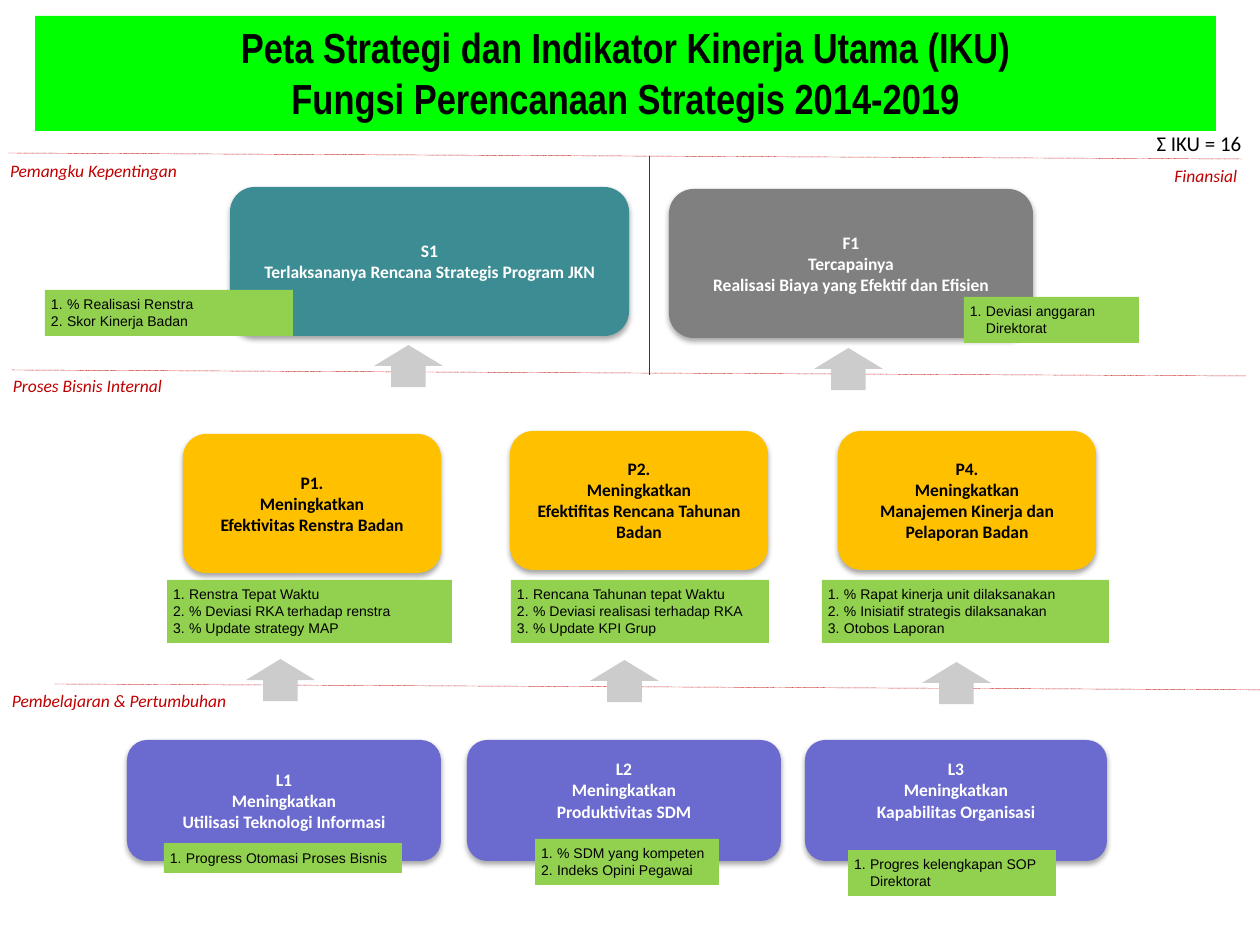
"""Builds the strategy map slide with its key performance indicators."""
from lxml import etree
from pptx import Presentation, util as u
from pptx.dml.color import RGBColor
from pptx.enum import dml, shapes, text
from pptx.oxml import ns

BLACK = RGBColor(0x00, 0x00, 0x00)
WHITE = RGBColor(0xFF, 0xFF, 0xFF)
RED = RGBColor(0xC0, 0x00, 0x00)
LIME = RGBColor(0x00, 0xFF, 0x00)
TEAL = RGBColor(0x3C, 0x8C, 0x93)
GRAY = RGBColor(0x80, 0x80, 0x80)
SILVER = RGBColor(0xCC, 0xCC, 0xCC)
AMBER = RGBColor(0xFF, 0xC0, 0x00)
VIOLET = RGBColor(0x6B, 0x6B, 0xCF)
GREEN = RGBColor(0x92, 0xD0, 0x50)

LEFT, CENTER, RIGHT = text.PP_ALIGN.LEFT, text.PP_ALIGN.CENTER, text.PP_ALIGN.RIGHT
TOP, MIDDLE = text.MSO_ANCHOR.TOP, text.MSO_ANCHOR.MIDDLE
INSETS = (13, 6, 13, 6)


def px(length):
    return u.Emu(round(length * 914400 / 126))


def child(parent, tag, **attributes):
    return etree.SubElement(parent, ns.qn(tag), attributes)


def write(shape, lines, size=10, font="Calibri", color=BLACK, bold=False, italic=False,
          align=CENTER, anchor=TOP, insets=INSETS, hanging=0):
    frame = shape.text_frame
    frame.word_wrap = True
    frame.vertical_anchor = anchor
    frame.margin_left, frame.margin_top, frame.margin_right, frame.margin_bottom = map(px, insets)
    for index, line in enumerate(lines):
        paragraph = frame.paragraphs[0] if index == 0 else frame.add_paragraph()
        paragraph.alignment = align
        if hanging:
            properties = paragraph._p.get_or_add_pPr()
            properties.set("marL", str(px(hanging)))
            properties.set("indent", str(-px(hanging)))
            child(properties, "a:buFont", typeface="+mj-lt")
            child(properties, "a:buAutoNum", type="arabicPeriod")
        run = paragraph.add_run()
        run.text = line
        run.font.size = u.Pt(size)
        run.font.name = font
        run.font.bold = bold
        run.font.italic = italic
        run.font.color.rgb = color


class StrategyMap:
    """Holds the slide and draws each kind of element in its style."""

    def __init__(self, slide):
        self.shapes = slide.shapes

    def block(self, kind, box, fill):
        block = self.shapes.add_shape(kind, *map(px, box))
        block.shadow.inherit = False
        block.fill.solid()
        block.fill.fore_color.rgb = fill
        block.line.fill.background()
        return block

    def title(self, box, lines):
        banner = self.block(shapes.MSO_SHAPE.RECTANGLE, box, LIME)
        write(banner, lines, size=24, font="Arial Narrow", bold=True)

    def label(self, box, words, **style):
        caption = self.shapes.add_textbox(*map(px, box))
        write(caption, [words], **style)

    def perspective(self, box, words, align=LEFT):
        self.label(box, words, color=RED, italic=True, align=align, insets=(0, 0, 0, 0))

    def divider(self, x1, y1, x2, y2):
        line = self.shapes.add_connector(shapes.MSO_CONNECTOR.STRAIGHT, *map(px, (x1, y1, x2, y2)))
        line.line.color.rgb = RED
        line.line.width = u.Pt(0.25)
        line.line.dash_style = dml.MSO_LINE.ROUND_DOT
        child(line._element.spPr, "a:effectLst")

    def goal(self, box, fill, lines, color=WHITE, bottom=6):
        card = self.block(shapes.MSO_SHAPE.ROUNDED_RECTANGLE, box, fill)
        effects = card._element.spPr.find(ns.qn("a:effectLst"))
        shadow = child(effects, "a:outerShdw", blurRad=str(u.Pt(3.1)), dist=str(u.Pt(1.8)),
                       dir="5400000", rotWithShape="0")
        child(child(shadow, "a:srgbClr", val=str(BLACK)), "a:alpha", val="35000")
        write(card, lines, color=color, bold=True, anchor=MIDDLE, insets=(13, 6, 13, bottom))

    def indicators(self, box, lines):
        panel = self.block(shapes.MSO_SHAPE.RECTANGLE, box, GREEN)
        write(panel, lines, size=8, font="Arial", align=LEFT, insets=(6, 6, 6, 6), hanging=16)

    def arrow(self, x, y):
        self.block(shapes.MSO_SHAPE.UP_ARROW, (x, y, 69, 42), SILVER)


def main():
    deck = Presentation()
    deck.slide_width, deck.slide_height = px(1260), px(945)
    strategy = StrategyMap(deck.slides.add_slide(deck.slide_layouts[6]))

    strategy.title((35, 16, 1181, 115), ["Peta Strategi dan Indikator Kinerja Utama (IKU)",
                                         "Fungsi Perencanaan Strategis 2014-2019"])
    strategy.label((1138, 125, 122, 38), "Ʃ IKU = 16", size=12)

    for ends in ((8, 153, 1242, 159), (12, 370, 1246, 376), (55, 684, 1288, 690),
                 (649, 156, 649, 374)):
        strategy.divider(*ends)

    strategy.perspective((10, 160, 210, 21), "Pemangku Kepentingan")
    strategy.perspective((1154, 165, 83, 21), "Finansial", RIGHT)
    strategy.perspective((13, 375, 210, 21), "Proses Bisnis Internal")
    strategy.perspective((5, 690, 228, 21), "Pembelajaran & Pertumbuhan", CENTER)

    for x, y in ((374, 345), (814, 348), (246, 659), (590, 660), (922, 662)):
        strategy.arrow(x, y)

    strategy.goal((230, 187, 399, 149), TEAL,
                  ["S1", "Terlaksananya Rencana Strategis Program JKN"])
    strategy.goal((669, 189, 364, 149), GRAY,
                  ["F1", "Tercapainya", "Realisasi Biaya yang Efektif dan Efisien"])

    for x, y, code, aim in ((183, 434, "P1.", "Efektivitas Renstra Badan"),
                            (510, 431, "P2.", "Efektifitas Rencana Tahunan Badan"),
                            (838, 431, "P4.", "Manajemen Kinerja dan Pelaporan Badan")):
        strategy.goal((x, y, 258, 139), AMBER, [code, "Meningkatkan", aim], color=BLACK)

    for x, width, bottom, code, aim in ((127, 314, 6, "L1", "Utilisasi Teknologi Informasi"),
                                        (467, 314, 27, "L2", "Produktivitas SDM"),
                                        (805, 302, 27, "L3", "Kapabilitas Organisasi")):
        strategy.goal((x, 740, width, 121), VIOLET, [code, "Meningkatkan", aim], bottom=bottom)

    for box, lines in (
        ((45, 290, 248, 46), ["% Realisasi Renstra", "Skor Kinerja Badan"]),
        ((964, 297, 175, 46), ["Deviasi anggaran Direktorat"]),
        ((167, 580, 285, 63), ["Renstra Tepat Waktu", "% Deviasi RKA terhadap renstra",
                               "% Update strategy MAP"]),
        ((511, 580, 258, 63), ["Rencana Tahunan tepat Waktu", "% Deviasi realisasi terhadap RKA",
                               "% Update KPI Grup"]),
        ((822, 580, 287, 63), ["% Rapat kinerja unit dilaksanakan",
                               "% Inisiatif strategis dilaksanakan", "Otobos Laporan"]),
        ((164, 843, 238, 30), ["Progress Otomasi Proses Bisnis"]),
        ((535, 839, 184, 46), ["% SDM yang kompeten", "Indeks Opini Pegawai"]),
        ((848, 850, 208, 46), ["Progres kelengkapan SOP Direktorat"]),
    ):
        strategy.indicators(box, lines)

    deck.save("out.pptx")


if __name__ == "__main__":
    main()
